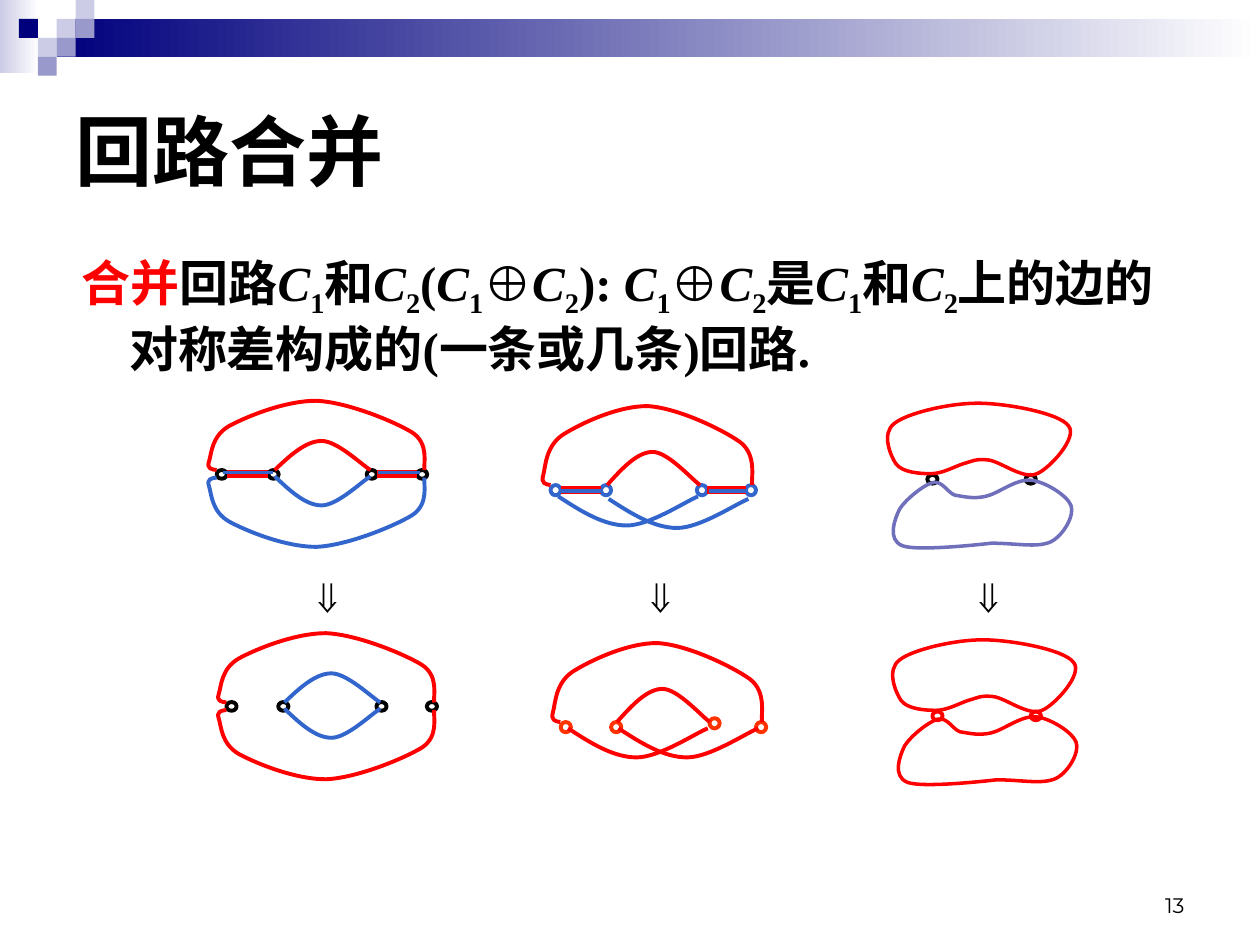
from dataclasses import dataclass

from pptx import Presentation
from pptx.dml.color import RGBColor
from pptx.enum.shapes import MSO_CONNECTOR, MSO_SHAPE
from pptx.enum.text import MSO_ANCHOR, MSO_AUTO_SIZE, PP_ALIGN
from pptx.oxml.ns import qn
from pptx.oxml.xmlchemy import OxmlElement
from pptx.util import Pt

RECTANGLE, OVAL = MSO_SHAPE.RECTANGLE, MSO_SHAPE.OVAL
STRAIGHT = MSO_CONNECTOR.STRAIGHT
MIDDLE, BOTTOM = MSO_ANCHOR.MIDDLE, MSO_ANCHOR.BOTTOM
LEFT, RIGHT = PP_ALIGN.LEFT, PP_ALIGN.RIGHT
NO_AUTOFIT = MSO_AUTO_SIZE.NONE


@dataclass(frozen=True)
class Theme:
    black: str = "000000"
    white: str = "FFFFFF"
    red: str = "FF0000"
    orange: str = "FF3300"
    blue: str = "3366CC"
    violet: str = "6F6FBC"
    navy: str = "00007D"
    lilac: str = "9999CC"
    pale: str = "CCCCE6"
    sans: str = "Arial"
    serif: str = "Times New Roman"
    number_font: str = "Montserrat"
    title_size: float = 44
    body_size: float = 28
    arrow_size: float = 24
    number_size: float = 12
    thin: float = 2
    medium: float = 2.25
    thick: float = 4.5


THEME = Theme()

ARCH = [(0, 0), (-2.9, -0.4), (-5.8, -0.7), (-4.3, -5), (-2.9, -9.4), (-2.9, -19.4),
        (7.2, -25.2), (18, -31), (39.6, -39.6), (56.9, -39.6), (74.2, -38.9),
        (100.8, -28.1), (111.6, -21.6), (121.7, -15.1), (118.1, -3.6), (118.8, 0)]
HUMP = [(0, 0), (8.8, -8.4), (17.8, -16.6), (26.8, -16.6), (35.8, -16.6),
        (49.8, -2.9), (54.7, 0)]
UPPER_LOOP = [(0, 0), (-6.5, 0), (-16.6, -0.7), (-20.2, -5.8), (-23, -10.1),
              (-28.8, -23), (-20.9, -28.8), (-13.7, -34.6), (10.1, -40.3),
              (26.6, -40.3), (43.2, -40.3), (73.4, -34.6), (78.5, -27.4),
              (84.2, -20.9), (67.7, -2.9), (60.5, 0), (52.6, 3.6), (39.6, -7.2),
              (32.4, -7.9), (25.2, -8.6), (23.8, -7.2), (18.7, -5.8), (13.7, -4.3),
              (6.5, 0), (0, 0)]
LOWER_LOOP = [(0, 0), (-5, 1.4), (-15.1, 9.4), (-18.7, 15.1), (-21.6, 20.9),
              (-25.9, 32.4), (-17.3, 36), (-8.6, 39.6), (33.8, 34.6), (33.8, 34.6),
              (48.2, 34.6), (59.8, 37.4), (67.7, 33.8), (74.9, 30.2), (81.4, 18.7),
              (79.2, 13), (77, 7.2), (64.1, -0.7), (56.2, -1.4), (47.5, -2.2),
              (37.4, 6.5), (30.2, 7.9), (23, 9.4), (18, 7.9), (13, 7.2),
              (8.6, 5.8), (5.8, -1.4), (0, 0)]
PLAIN, FLIPPED, TALL, SAG = (1, 1), (1, -1), (0.97, 1.14), (1.46, -1)


@dataclass(frozen=True)
class Curve:
    points: list
    x: float
    y: float
    color: str
    scale: tuple = PLAIN


@dataclass(frozen=True)
class Edge:
    x1: float
    x2: float
    y: float
    color: str
    width: float


@dataclass(frozen=True)
class Circuit:
    nodes: list
    node_height: float
    node_color: str
    curves: list
    shared: tuple = ()
    overlay: tuple = ()


@dataclass(frozen=True)
class Phrase:
    text: str
    italic: bool = False
    subscript: bool = False
    font: str = THEME.serif
    color: str = THEME.black


def rgb(color: str) -> RGBColor:
    return RGBColor.from_string(color)


def style_font(font, name: str, size: float, color: str, bold: bool = False) -> None:
    font.name, font.size, font.bold = name, Pt(size), bold
    font.color.rgb = rgb(color)


def place(shape, left: float, top: float, width: float, height: float) -> None:
    shape.left, shape.top, shape.width, shape.height = map(Pt, (left, top, width, height))


def draw_block(slide, left, top, width, height, color: str, fade: bool = False) -> None:
    block = slide.shapes.add_shape(RECTANGLE, *map(Pt, (left, top, width, height)))
    block.shadow.inherit = False
    block.line.fill.background()
    if fade:
        block.fill.gradient()
        block.fill.gradient_angle = 0
        for stop, tone in zip(block.fill.gradient_stops, (color, THEME.white)):
            stop.color.rgb = rgb(tone)
    else:
        block.fill.solid()
        block.fill.fore_color.rgb = rgb(color)


def draw_banner(slide) -> None:
    draw_block(slide, 0, 0, 22.3, 41.8, THEME.pale, fade=True)
    draw_block(slide, 32.4, 10.8, 687.6, 21.6, THEME.navy, fade=True)
    cell = 10.8
    tiles = {THEME.pale: [(3, 1), (4, 0), (2, 2)], THEME.lilac: [(4, 1), (3, 2), (2, 3)],
             THEME.navy: [(1, 1)]}
    for color, spots in tiles.items():
        for column, row in spots:
            draw_block(slide, column * cell, row * cell, cell, cell, color)


def draw_node(slide, x: float, y: float, height: float, color: str) -> None:
    node = slide.shapes.add_shape(OVAL, Pt(x), Pt(y), Pt(5.8), Pt(height))
    node.shadow.inherit = False
    node.fill.solid()
    node.fill.fore_color.rgb = rgb(THEME.white)
    node.line.color.rgb = rgb(color)
    node.line.width = Pt(THEME.medium)


def draw_edge(slide, edge: Edge) -> None:
    line = slide.shapes.add_connector(STRAIGHT, Pt(edge.x1), Pt(edge.y), Pt(edge.x2), Pt(edge.y))
    line.line.color.rgb = rgb(edge.color)
    line.line.width = Pt(edge.width)
    line._element.spPr.append(OxmlElement("a:effectLst"))


def draw_curve(slide, curve: Curve) -> None:
    sx, sy = curve.scale
    start, *controls = [(Pt(curve.x + x * sx), Pt(curve.y + y * sy)) for x, y in curve.points]
    closed = curve.points[0] == curve.points[-1]
    builder = slide.shapes.build_freeform(*start)
    builder.add_line_segments(controls, close=closed)
    outline = builder.convert_to_shape()
    segments = list(outline._element.iter(qn("a:lnTo")))
    for first in range(0, len(segments), 3):
        bezier = OxmlElement("a:cubicBezTo")
        segments[first].addprevious(bezier)
        for segment in segments[first:first + 3]:
            bezier.append(segment[0])
            segment.getparent().remove(segment)
    outline.shadow.inherit = False
    outline.fill.background()
    outline.line.color.rgb = rgb(curve.color)
    outline.line.width = Pt(THEME.thin if closed else THEME.medium)


def draw_circuit(slide, circuit: Circuit) -> None:
    for x, y in circuit.nodes:
        draw_node(slide, x, y, circuit.node_height, circuit.node_color)
    for edge in circuit.shared:
        draw_edge(slide, edge)
    for curve in circuit.curves:
        draw_curve(slide, curve)
    for edge in circuit.overlay:
        draw_edge(slide, edge)


def ring_curves(dx: float, dy: float, top: str, bottom: str, inner: str) -> list:
    return [Curve(HUMP, 157 + dx, 268.6 + dy, inner),
            Curve(HUMP, 157 + dx, 272.2 + dy, THEME.blue, FLIPPED),
            Curve(ARCH, 123.8 + dx, 268.6 + dy, top),
            Curve(ARCH, 123.8 + dx, 272.9 + dy, bottom, FLIPPED)]


def crossing_curves(dx: float, dy: float, sag_y: tuple, sag_color: str) -> list:
    return [Curve(HUMP, 347 + dx, 277.2 + dy, THEME.red, TALL),
            Curve(HUMP, 347.8 + dx, sag_y[0], sag_color, SAG),
            Curve(ARCH, 314.6 + dx, 277.2 + dy, THEME.red, TALL),
            Curve(HUMP, 319 + dx, sag_y[1], sag_color, SAG)]


def touching(dx: float, dy: float, node_color: str, lower_color: str) -> Circuit:
    return Circuit([(x + dx, 271.4 + dy) for x in (529.9, 586.1)], 5, node_color,
                   [Curve(UPPER_LOOP, 532.1 + dx, 270.7 + dy, THEME.red),
                    Curve(LOWER_LOOP, 532.8 + dx, 275.8 + dy, lower_color)])


def edges(spans: list, y: float, color: str, width: float) -> tuple:
    return tuple(Edge(x1, x2, y, color, width) for x1, x2 in spans)


def build_circuits() -> list:
    t = THEME
    ring_x, cross_x = (123.8, 153.4, 209.5, 238.3), (314.6, 343.4, 398.2, 426.2)
    return [
        Circuit([(x, 268.6) for x in ring_x], 5, t.black,
                ring_curves(0, 0, t.red, t.blue, t.red),
                edges([(129.6, 153.4), (215.3, 238.3)], 270.9, t.red, t.thick),
                edges([(127.4, 156.2), (216, 239.8)], 270, t.blue, t.medium)),
        Circuit([(x + 5.6, 401.2) for x in ring_x], 5, t.black,
                ring_curves(5.6, 132.8, t.red, t.red, t.blue)),
        Circuit([(x, 277.2) for x in cross_x], 5.8, t.blue,
                crossing_curves(0, 0, (285.1, 283.7), t.blue),
                edges([(320.4, 343.4), (403.9, 426.2)], 280.1, t.red, t.thick),
                edges([(320.4, 343.4), (405.4, 427.7)], 280.8, t.blue, t.medium)),
        Circuit([(320.4, 412.6), (349.2, 412.6), (405.4, 410.4), (432, 412.6)], 5.8, t.orange,
                crossing_curves(5.6, 135.4, (416.2, 416.2), t.red)),
        touching(0, 0, t.black, t.violet),
        touching(2.9, 135.2, t.red, t.red),
    ]


def circuit_name(index: str) -> list:
    return [Phrase("C", italic=True), Phrase(index, subscript=True)]


def write_title(slide) -> None:
    title = slide.shapes.title
    place(title, 36, 36, 648, 99.4)
    title.text_frame.text = "回路合并"
    title.text_frame.auto_size = NO_AUTOFIT
    title.text_frame.vertical_anchor = MIDDLE
    heading = title.text_frame.paragraphs[0]
    heading.alignment = LEFT
    style_font(heading.runs[0].font, THEME.sans, THEME.title_size, THEME.black, True)


def write_definition(slide) -> None:
    body = slide.placeholders[1]
    place(body, 39.6, 140.4, 648, 326.9)
    body.text_frame.auto_size = NO_AUTOFIT
    definition = body.text_frame.paragraphs[0]
    properties = definition._p.get_or_add_pPr()
    properties.set("marL", str(Pt(27)))
    properties.set("indent", str(-Pt(27)))
    properties.append(OxmlElement("a:buNone"))
    definition.space_before = Pt(0)
    c1, c2 = circuit_name("1"), circuit_name("2")
    both = [*c1, Phrase("和"), *c2]
    ring_sum = [*c1, Phrase("⊕", font=THEME.sans), *c2]
    phrases = [Phrase("合并", color=THEME.red), Phrase("回路"), *both, Phrase("("), *ring_sum,
               Phrase("): "), *ring_sum, Phrase("是"), *both,
               Phrase("上的边的对称差构成的(一条或几条)回路.")]
    for phrase in phrases:
        run = definition.add_run()
        run.text = phrase.text
        style_font(run.font, phrase.font, THEME.body_size, phrase.color, True)
        run.font.italic = phrase.italic
        if phrase.subscript:
            run.font._element.set("baseline", "-25000")


def write_label(slide, box: tuple, text: str, font: str, size: float, bold: bool = False):
    label = slide.shapes.add_textbox(*map(Pt, box))
    frame = label.text_frame
    frame.word_wrap = True
    frame.text = text
    style_font(frame.paragraphs[0].runs[0].font, font, size, THEME.black, bold)
    return frame


def main() -> None:
    deck = Presentation()
    deck.slide_width, deck.slide_height = Pt(720), Pt(540)
    slide = deck.slides.add_slide(deck.slide_layouts[1])
    draw_banner(slide)
    write_title(slide)
    write_definition(slide)
    number = write_label(slide, (516.2, 491.8, 167.8, 36), "13",
                         THEME.number_font, THEME.number_size)
    number.vertical_anchor = BOTTOM
    number.paragraphs[0].alignment = RIGHT
    for circuit in build_circuits():
        draw_circuit(slide, circuit)
    for left in (164.9, 355, 542.2):
        arrow = write_label(slide, (left, 326.2, 43.2, 33.8), "⇒",
                            THEME.sans, THEME.arrow_size, True)
        arrow.margin_left = arrow.margin_right = Pt(3.6)
        arrow.margin_top = arrow.margin_bottom = Pt(7.2)
        arrow._txBody.bodyPr.set("vert", "eaVert")
    deck.save("out.pptx")


if __name__ == "__main__":
    main()
